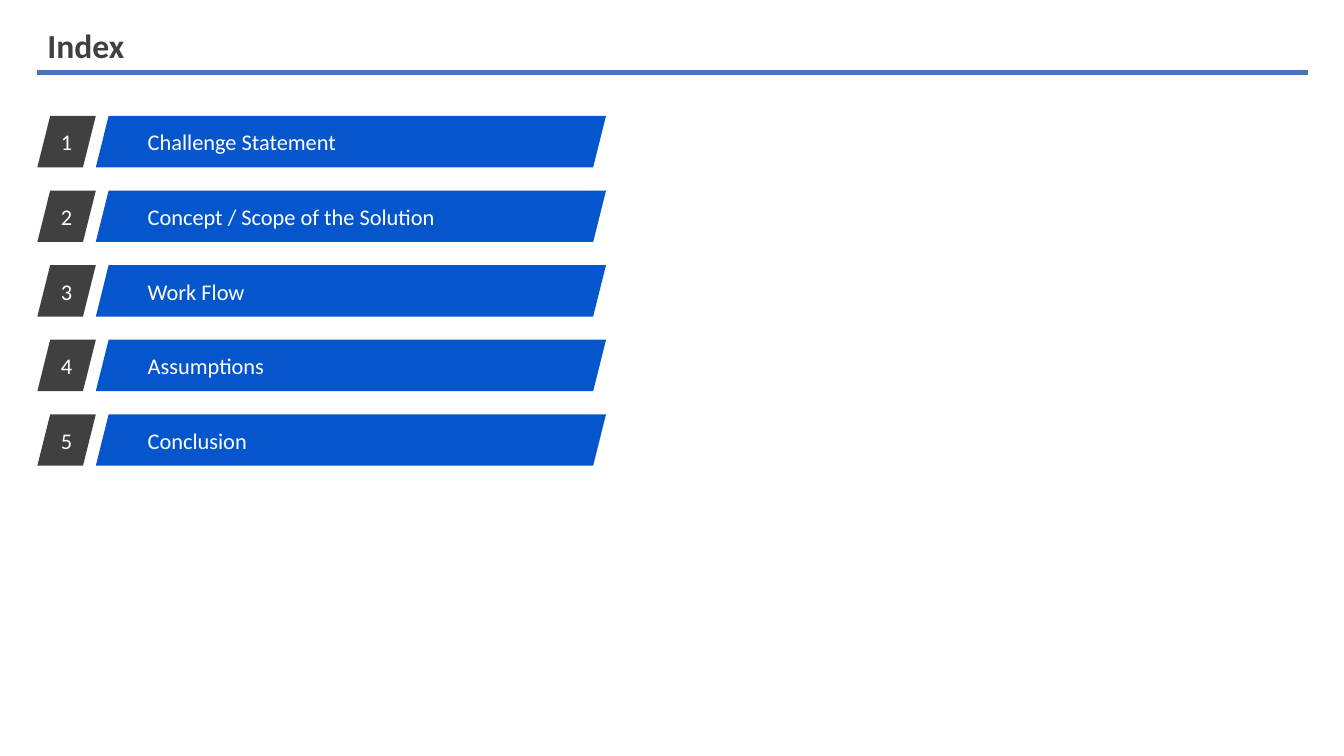
import dataclasses

import pptx
import pptx.dml.color
import pptx.enum.shapes
import pptx.enum.text
import pptx.util

ALIGN = pptx.enum.text.PP_ALIGN
ANCHOR = pptx.enum.text.MSO_ANCHOR
SLIDE_WIDTH = pptx.util.Inches(13.33)
SLIDE_HEIGHT = pptx.util.Inches(7.5)
TOPICS = ["Challenge Statement", "Concept / Scope of the Solution",
          "Work Flow", "Assumptions", "Conclusion"]


@dataclasses.dataclass(frozen=True)
class Theme:
    """Colours, font and type sizes of the deck."""
    dark: str = "404040"
    blue: str = "0556CD"
    rule: str = "4472C4"
    white: str = "FFFFFF"
    font: str = "Calibri"
    title_size: float = 24
    label_size: float = 16
    label_space: float = 7.5
    rule_width: float = 3


THEME = Theme()


def color(value):
    """Turn a hex string into a colour."""
    return pptx.dml.color.RGBColor.from_string(value)


def across(share):
    """Turn a percentage of the slide's width into a length."""
    return round(SLIDE_WIDTH * share / 100)


def down(share):
    """Turn a percentage of the slide's height into a length."""
    return round(SLIDE_HEIGHT * share / 100)


def apply(target, formats):
    """Set each attribute named in the dict."""
    for name, value in formats.items():
        setattr(target, name, value)


def write(shape, text, frame_format, paragraph_format, font_format, font_color):
    """Put one formatted paragraph in a shape."""
    frame = shape.text_frame
    frame.text = text
    apply(frame, {"word_wrap": True, **frame_format})
    paragraph = frame.paragraphs[0]
    apply(paragraph, {"line_spacing": 0.9, **paragraph_format})
    font = paragraph.runs[0].font
    apply(font, {"name": THEME.font, **font_format})
    font.color.rgb = color(font_color)


def add_header(slide, box, text):
    """Place the title with a rule along the bottom of the box."""
    left, top, width, height = box
    title = slide.shapes.title
    apply(title, {"left": across(left), "top": down(top),
                  "width": across(width - 0.67), "height": down(height - 0.27)})
    write(title, text,
          {"vertical_anchor": ANCHOR.BOTTOM,
           "auto_size": pptx.enum.text.MSO_AUTO_SIZE.NONE},
          {"alignment": ALIGN.LEFT},
          {"size": pptx.util.Pt(THEME.title_size), "bold": True}, THEME.dark)
    bottom = down(top + height)
    rule = slide.shapes.add_connector(
        pptx.enum.shapes.MSO_CONNECTOR.STRAIGHT,
        across(left), bottom, across(left + width), bottom)
    rule.line.color.rgb = color(THEME.rule)
    rule.line.width = pptx.util.Pt(THEME.rule_width)
    properties = rule._element.spPr
    properties.append(pptx.oxml.parse_xml(
        '<a:effectLst xmlns:a="http://schemas.openxmlformats.org/drawingml/2006/main"/>'))


def add_label(slide, box, text, fill, alignment):
    """Place a filled parallelogram holding one line of text."""
    left, top, width, height = box
    label = slide.shapes.add_shape(
        pptx.enum.shapes.MSO_SHAPE.PARALLELOGRAM,
        across(left), down(top), across(width), down(height))
    label.shadow.inherit = False
    label.fill.solid()
    label.fill.fore_color.rgb = color(fill)
    label.line.fill.background()
    inset = pptx.util.Inches(0.04)
    write(label, text,
          {"vertical_anchor": ANCHOR.MIDDLE, "margin_left": inset,
           "margin_right": inset, "margin_bottom": inset,
           "margin_top": pptx.util.Inches(0.08)},
          {"alignment": alignment, "space_before": pptx.util.Pt(THEME.label_space)},
          {"size": pptx.util.Pt(THEME.label_size)}, THEME.white)


def add_index(slide, box, topics):
    """Spread numbered topics evenly down the box."""
    left, top, width, height = box
    number_width, row_height = 4.35, 6.8
    pitch = (height - row_height) / (len(topics) - 1)
    for row, topic in enumerate(topics):
        row_top = top + row * pitch
        add_label(slide, (left + number_width, row_top, width - number_width, row_height),
                  topic, THEME.blue, ALIGN.LEFT)
        add_label(slide, (left, row_top, number_width, row_height),
                  str(row + 1), THEME.dark, ALIGN.CENTER)


def main():
    """Build the index slide and save it."""
    presentation = pptx.Presentation()
    apply(presentation, {"slide_width": SLIDE_WIDTH, "slide_height": SLIDE_HEIGHT})
    slide = presentation.slides.add_slide(presentation.slide_layouts[5])
    add_header(slide, (2.78, 2, 94.52, 7.6), "Index")
    add_index(slide, (2.78, 15.33, 42.31, 46.28), TOPICS)
    presentation.save("out.pptx")


if __name__ == "__main__":
    main()
